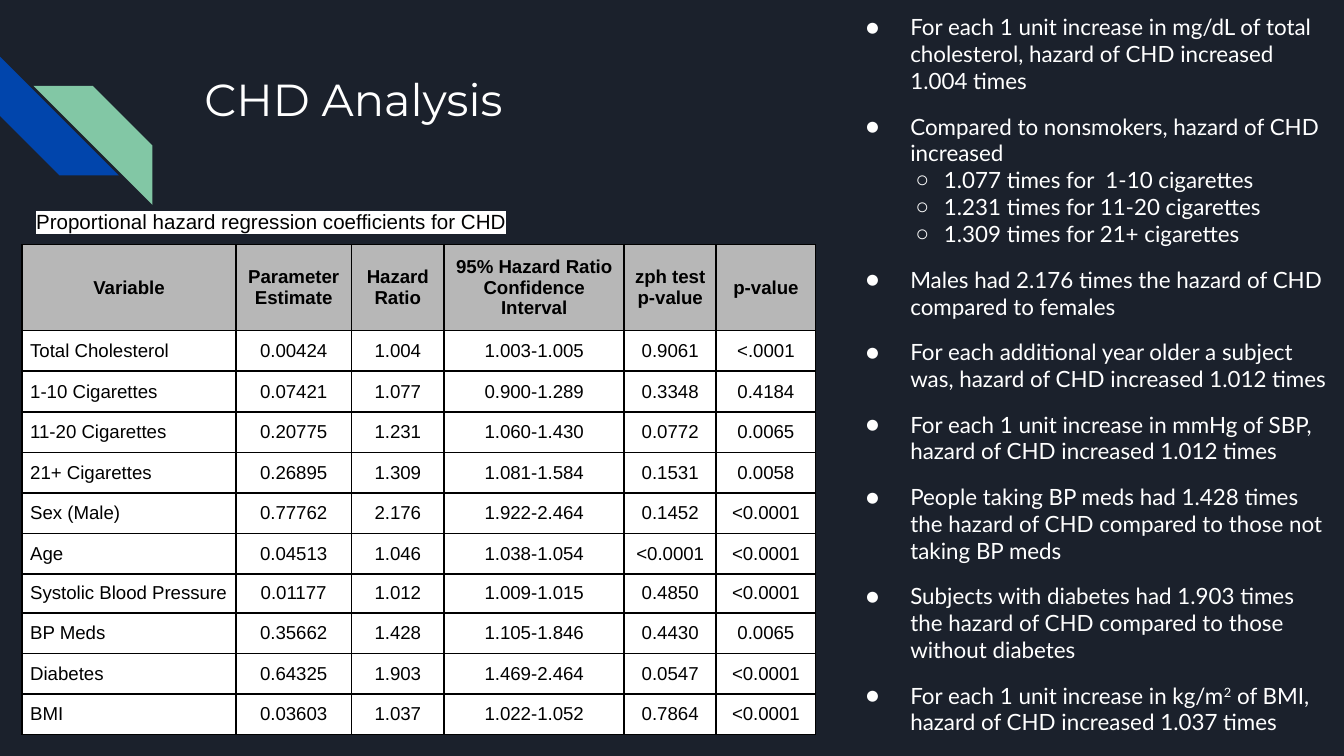
from collections import namedtuple

from lxml import etree
from pptx import Presentation
from pptx import util as u
from pptx.dml.color import RGBColor
from pptx.enum import shapes, text
from pptx.oxml import ns

# The slide is a 16:9 grid of 100 columns by 56.25 rows, with square units
COLUMNS, ROWS = 100, 56.25
UNIT = u.Inches(10) / COLUMNS
Box = namedtuple("Box", "left top width height")

NIGHT, BLUE, GREEN = "1B212C", "0145AC", "82C7A5"
WHITE, BLACK, GREY = "FFFFFF", "000000", "B7B7B7"

HEADINGS = ("Variable", "Parameter Estimate", "Hazard Ratio",
            "95% Hazard Ratio Confidence Interval", "zph test p-value", "p-value")
COEFFICIENTS = (
    ("Total Cholesterol", "0.00424", "1.004", "1.003-1.005", "0.9061", "<.0001"),
    ("1-10 Cigarettes", "0.07421", "1.077", "0.900-1.289", "0.3348", "0.4184"),
    ("11-20 Cigarettes", "0.20775", "1.231", "1.060-1.430", "0.0772", "0.0065"),
    ("21+ Cigarettes", "0.26895", "1.309", "1.081-1.584", "0.1531", "0.0058"),
    ("Sex (Male)", "0.77762", "2.176", "1.922-2.464", "0.1452", "<0.0001"),
    ("Age", "0.04513", "1.046", "1.038-1.054", "<0.0001", "<0.0001"),
    ("Systolic Blood Pressure", "0.01177", "1.012", "1.009-1.015", "0.4850", "<0.0001"),
    ("BP Meds", "0.35662", "1.428", "1.105-1.846", "0.4430", "0.0065"),
    ("Diabetes", "0.64325", "1.903", "1.469-2.464", "0.0547", "<0.0001"),
    ("BMI", "0.03603", "1.037", "1.022-1.052", "0.7864", "<0.0001"),
)
COLUMN_WIDTHS = (15.9, 8.6, 6.9, 13.4, 6.85, 7.4)
ROW_HEIGHTS = (6.4,) + (3.02,) * 6 + (2.8,) + (3.02,) * 3

# Each finding is its level and its text; ^ encloses a superscript
FINDINGS = (
    (0, "For each 1 unit increase in mg/dL of total cholesterol, hazard of CHD increased 1.004 times"),
    (0, "Compared to nonsmokers, hazard of CHD increased"),
    (1, "1.077 times for  1-10 cigarettes"),
    (1, "1.231 times for 11-20 cigarettes"),
    (1, "1.309 times for 21+ cigarettes"),
    (0, "Males had 2.176 times the hazard of CHD compared to females"),
    (0, "For each additional year older a subject was, hazard of CHD increased 1.012 times"),
    (0, "For each 1 unit increase in mmHg of SBP, hazard of CHD increased 1.012 times"),
    (0, "People taking BP meds had 1.428 times the hazard of CHD compared to those not taking BP meds"),
    (0, "Subjects with diabetes had 1.903 times the hazard of CHD compared to those without diabetes"),
    (0, "For each 1 unit increase in kg/m^2^ of BMI, hazard of CHD increased 1.037 times"),
)
# Bullet, its font, left margin and hanging indent of each level, in grid units
LEVELS = (("●", "Lato", 5, -3.3), ("○", "Arial", 7.5, -2.1))


def grid(units):
    return u.Emu(round(units * UNIT))


def colour(hex_string):
    return RGBColor.from_string(hex_string)


def paint(fill, hex_string):
    fill.solid()
    fill.fore_color.rgb = colour(hex_string)


def assign(target, **values):
    for name, value in values.items():
        setattr(target, name, value)


def add_xml(parent, tag, **attributes):
    return etree.SubElement(parent, ns.qn(tag), attributes)


def write(paragraph, words, size, face, ink, bold=False):
    run = paragraph.add_run()
    run.text = words
    assign(run.font, size=u.Pt(size), name=face, bold=bold)
    run.font.color.rgb = colour(ink)
    return run


def set_margins(target, units):
    sides = ("left", "right", "top", "bottom")
    assign(target, **{f"margin_{side}": grid(units) for side in sides})


def add_frame(slide, box):
    frame = slide.shapes.add_textbox(*map(grid, box)).text_frame
    set_margins(frame, 1)
    assign(frame, word_wrap=True, auto_size=text.MSO_AUTO_SIZE.SHAPE_TO_FIT_TEXT)
    return frame


def add_stripes(slide, box):
    """Two diagonal stripes of one size, in opposite corners of the box."""
    side = 8.85
    blue_place = (box.left, box.top)
    green_place = (box.left + box.width - side, box.top + box.height - side)
    for (left, top), ink, turn, flip in ((blue_place, BLUE, 270, "0"),
                                         (green_place, GREEN, 0, "1")):
        stripe = slide.shapes.add_shape(shapes.MSO_SHAPE.DIAGONAL_STRIPE,
                                        *map(grid, (left, top, side, side)))
        stripe.adjustments[0] = 0.5
        assign(stripe, rotation=turn)
        stripe.element.spPr.xfrm.set("flipH", flip)
        stripe.shadow.inherit = False
        paint(stripe.fill, ink)
        stripe.line.fill.background()


def set_title(slide, box):
    title = slide.shapes.title
    assign(title, **{side: grid(units) for side, units in box._asdict().items()})
    frame = title.text_frame
    set_margins(frame, 1)
    assign(frame, word_wrap=True, auto_size=text.MSO_AUTO_SIZE.NONE,
           vertical_anchor=text.MSO_ANCHOR.TOP)
    heading = frame.paragraphs[0]
    assign(heading, alignment=text.PP_ALIGN.LEFT, space_before=u.Pt(0))
    write(heading, "CHD Analysis", 24, "Montserrat", WHITE)


def add_caption(slide, box):
    caption = add_frame(slide, box).paragraphs[0]
    caption.line_spacing = 1.15
    run = write(caption, "Proportional hazard regression coefficients for CHD",
                11, "Arial", BLACK)
    # The highlight follows the text colour
    properties = run.font._element
    highlight = add_xml(properties, "a:highlight")
    add_xml(highlight, "a:srgbClr", val=WHITE)
    properties.find(ns.qn("a:solidFill")).addnext(highlight)


def add_borders(cell):
    properties = cell._tc.get_or_add_tcPr()
    for position, side in enumerate(("a:lnL", "a:lnR", "a:lnT", "a:lnB")):
        line = add_xml(properties, side, w=str(u.Pt(1)))
        add_xml(add_xml(line, "a:solidFill"), "a:srgbClr", val=BLACK)
        properties.insert(position, line)


def add_coefficients(slide, box):
    rows = (HEADINGS,) + COEFFICIENTS
    table = slide.shapes.add_table(len(rows), len(HEADINGS), *map(grid, box)).table
    assign(table, first_row=False, horz_banding=False)
    for column, width in zip(table.columns, COLUMN_WIDTHS):
        column.width = grid(width)
    for row, height in zip(table.rows, ROW_HEIGHTS):
        row.height = grid(height)
    for r, values in enumerate(rows):
        is_heading = r == 0
        for c, value in enumerate(values):
            cell = table.cell(r, c)
            set_margins(cell, 0.7 if is_heading else 0.6)
            cell.vertical_anchor = text.MSO_ANCHOR.MIDDLE
            paint(cell.fill, GREY if is_heading else WHITE)
            add_borders(cell)
            entry = cell.text_frame.paragraphs[0]
            centred = is_heading or c > 0
            entry.alignment = text.PP_ALIGN.CENTER if centred else text.PP_ALIGN.LEFT
            write(entry, value, 10, "Arial", BLACK, is_heading)


def add_findings(slide, box):
    frame = add_frame(slide, box)
    for number, (level, words) in enumerate(FINDINGS):
        finding = frame.add_paragraph() if number else frame.paragraphs[0]
        bullet, face, margin, indent = LEVELS[level]
        properties = finding._p.get_or_add_pPr()
        properties.set("marL", str(grid(margin)))
        properties.set("indent", str(grid(indent)))
        add_xml(add_xml(properties, "a:buClr"), "a:srgbClr", val=WHITE)
        add_xml(properties, "a:buFont", typeface=face)
        add_xml(properties, "a:buChar", char=bullet)
        has_gap = number > 0 and level == 0
        is_last = number == len(FINDINGS) - 1
        assign(finding, level=level, space_before=u.Pt(10 if has_gap else 0),
               space_after=u.Pt(10 if is_last else 0))
        for part, piece in enumerate(words.split("^")):
            run = write(finding, piece, 12, "Lato", WHITE)
            if part % 2:
                run.font._element.set("baseline", "30000")


def main():
    deck = Presentation()
    assign(deck, slide_width=grid(COLUMNS), slide_height=grid(ROWS))
    slide = deck.slides.add_slide(deck.slide_layouts.get_by_name("Title Only"))
    paint(slide.background.fill, NIGHT)
    add_stripes(slide, Box(0, 4.2, 11.35, 11.05))
    set_title(slide, Box(14.2, 4.35, 77, 10))
    add_caption(slide, Box(1.7, 14.3, 44.2, 3.9))
    add_findings(slide, Box(61.75, 0, 38.25, ROWS))
    add_coefficients(slide, Box(1.65, 18.2, sum(COLUMN_WIDTHS), sum(ROW_HEIGHTS)))
    deck.save("out.pptx")


if __name__ == "__main__":
    main()
